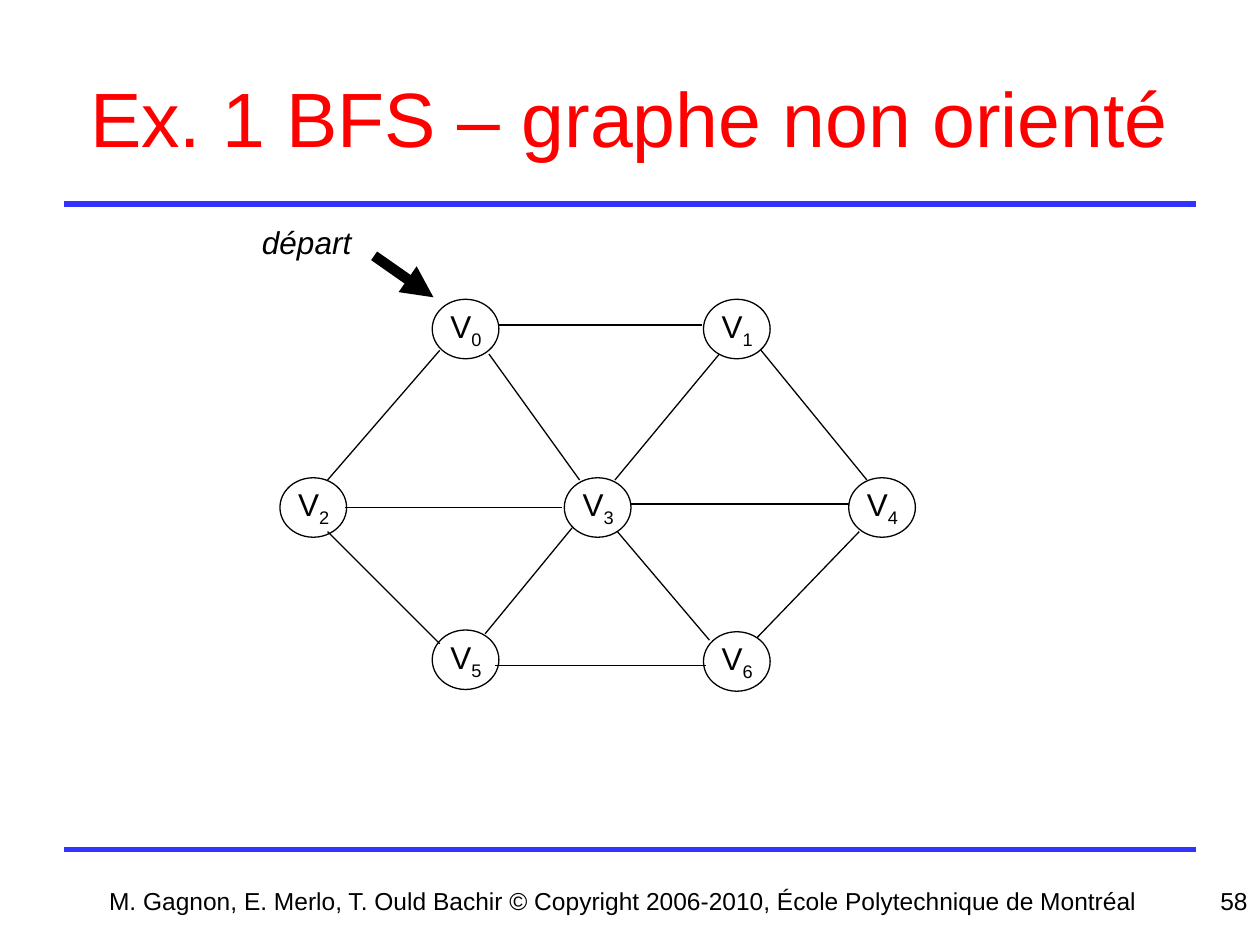
from typing import Any, NamedTuple

from lxml.etree import SubElement
from pptx import Presentation
from pptx.dml.color import RGBColor
from pptx.enum.shapes import MSO_CONNECTOR, MSO_SHAPE
from pptx.enum.text import MSO_ANCHOR, MSO_AUTO_SIZE, PP_ALIGN
from pptx.oxml.ns import qn
from pptx.util import Pt

BLACK = RGBColor(0x00, 0x00, 0x00)
RED = RGBColor(0xFF, 0x00, 0x00)
BLUE = RGBColor(0x33, 0x33, 0xFF)

NODE_WIDTH, NODE_HEIGHT = 38.1, 34
RULE_LEFT, RULE_RIGHT = 36.7, 683.3
FOOTER_TOP, FOOTER_HEIGHT = 502.6, 37.4


class Vertex(NamedTuple):
    index: int
    left: float
    top: float


class Segment(NamedTuple):
    x1: float
    y1: float
    x2: float
    y2: float
    width: float = 0.75
    color: RGBColor = BLACK
    arrow: bool = False


class Label(NamedTuple):
    text: str
    left: float
    top: float
    width: float
    height: float
    font: dict[str, Any]
    align: PP_ALIGN = PP_ALIGN.LEFT
    frame: dict[str, Any] = {"word_wrap": True}
    subscript: str = ""


FIT = {"word_wrap": False, "auto_size": MSO_AUTO_SIZE.SHAPE_TO_FIT_TEXT}
FOOTER_FONT = {"size": Pt(14)}
VERTEX_FONT = {"size": Pt(18)}

RULES = [Segment(RULE_LEFT, y, RULE_RIGHT, y, 3, BLUE) for y in (485.3, 116.6)]

LABELS = [
    Label("M. Gagnon, E. Merlo, T. Ould Bachir © Copyright 2006-2010, "
          "École Polytechnique de Montréal",
          45.4, FOOTER_TOP, 621.4, FOOTER_HEIGHT, FOOTER_FONT, PP_ALIGN.CENTER),
    Label("Ex. 1 BFS – graphe non orienté", 36, 21.6, 648, 90,
          {"size": Pt(44), "color": RED}, PP_ALIGN.CENTER,
          {"word_wrap": True, "vertical_anchor": MSO_ANCHOR.MIDDLE}),
    Label("départ", 142.6, 123.8, 65.5, 28.8,
          {"size": Pt(18), "italic": True}, frame=FIT),
    Label("58", 552.2, FOOTER_TOP, 167.8, FOOTER_HEIGHT, FOOTER_FONT, PP_ALIGN.RIGHT),
]

VERTICES = [
    Vertex(0, 247, 171),
    Vertex(1, 402, 171),
    Vertex(2, 160, 273),
    Vertex(3, 322.5, 273),
    Vertex(4, 485, 273),
    Vertex(5, 247, 360),
    Vertex(6, 402, 361),
]

EDGES = [
    Segment(285.1, 185.8, 401, 185.8, 1),
    Segment(434.9, 200.2, 495.4, 274.3),
    Segment(491, 303.8, 432.7, 364.3),
    Segment(403.2, 380.2, 283, 380.2),
    Segment(187.2, 303.8, 251.3, 367.9),
    Segment(187.2, 274.3, 251.3, 200.2),
    Segment(279.4, 202.3, 331.2, 274.3),
    Segment(352.8, 303.8, 405.4, 365.8),
    Segment(411.1, 202.3, 351.4, 274.3),
    Segment(326.9, 301.7, 277.2, 362.2),
    Segment(360.7, 288, 485.3, 288),
    Segment(321.1, 290.2, 197.3, 290.2),
    Segment(213.8, 146.2, 247.7, 169.9, 6, arrow=True),
]


def draw_segment(shapes: Any, segment: Segment) -> None:
    connector = shapes.add_connector(
        MSO_CONNECTOR.STRAIGHT, *(Pt(value) for value in segment[:4]))
    connector.line.width = Pt(segment.width)
    connector.line.color.rgb = segment.color
    if segment.arrow:
        SubElement(connector.line._get_or_add_ln(), qn("a:tailEnd"), type="triangle")
    SubElement(connector._element.spPr, qn("a:effectLst"))


def add_run(paragraph: Any, text: str, font: dict[str, Any]) -> Any:
    run = paragraph.add_run()
    run.text = text
    run.font.color.rgb = font.get("color", BLACK)
    for attribute, value in {"name": "Arial", **font}.items():
        if attribute != "color":
            setattr(run.font, attribute, value)
    return run


def draw_label(shapes: Any, label: Label) -> None:
    box = shapes.add_textbox(*(Pt(value) for value in label[1:5]))
    for attribute, value in label.frame.items():
        setattr(box.text_frame, attribute, value)
    paragraph = box.text_frame.paragraphs[0]
    paragraph.alignment = label.align
    add_run(paragraph, label.text, label.font)
    if label.subscript:
        subscript = add_run(paragraph, label.subscript, label.font)
        subscript.font._element.set("baseline", "-25000")


def draw_vertex(shapes: Any, vertex: Vertex) -> None:
    members = shapes.add_group_shape().shapes
    circle = members.add_shape(
        MSO_SHAPE.OVAL, Pt(vertex.left), Pt(vertex.top), Pt(NODE_WIDTH), Pt(NODE_HEIGHT))
    circle.shadow.inherit = False
    circle.fill.background()
    circle.line.color.rgb = BLACK
    circle.line.width = Pt(0.75)
    draw_label(members, Label("V", vertex.left + 3.3, vertex.top + 0.9, 32.4, 31.7,
                              VERTEX_FONT, frame=FIT, subscript=str(vertex.index)))


def main() -> None:
    presentation = Presentation()
    presentation.slide_width, presentation.slide_height = Pt(720), Pt(540)
    shapes = presentation.slides.add_slide(presentation.slide_layouts[6]).shapes
    for rule in RULES:
        draw_segment(shapes, rule)
    for vertex in VERTICES:
        draw_vertex(shapes, vertex)
    for edge in EDGES:
        draw_segment(shapes, edge)
    for label in LABELS:
        draw_label(shapes, label)
    presentation.save("out.pptx")


if __name__ == "__main__":
    main()
